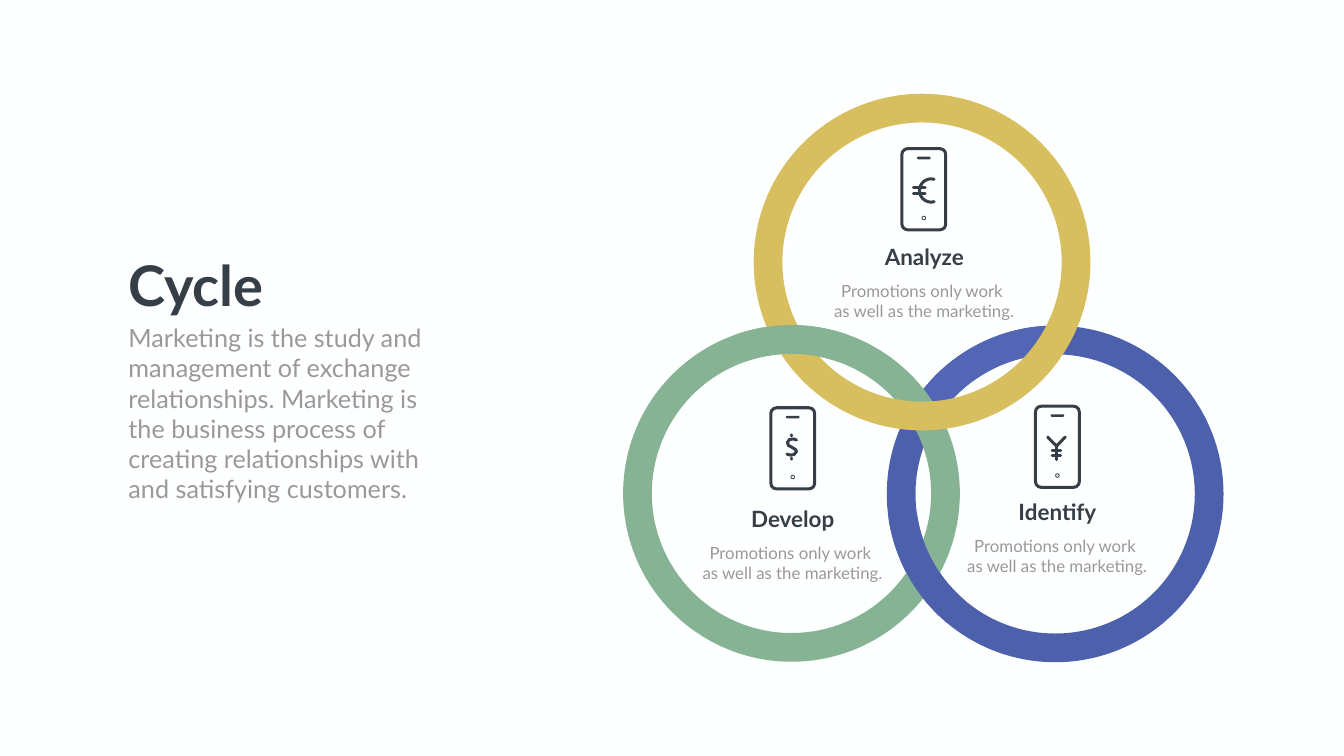
import math

import pptx
import pptx.dml.color
import pptx.enum.shapes
import pptx.enum.text
import pptx.oxml
import pptx.oxml.ns
import pptx.util

PX = 9144  # 100 px to the inch
FONT = "Lato"
INK, GREY, PAPER = "363E48", "999999", "FEFFFF"
YELLOW, GREEN, BLUE, LIGHT_BLUE = "D7BF60", "86B394", "4D60AB", "5266B5"

TITLE = "Cycle"
INTRO = ("Marketing is the study and management of exchange relationships. "
         "Marketing is the business process of creating relationships with "
         "and satisfying customers.")
NOTE = "Promotions only work \nas well as the marketing."

RING_RADIUS, RING_BAND = 334, 57
TOP, LEFT, RIGHT = (1829, 520), (1570, 979), (2093, 980)
# Back to front: centre, colour, and clockwise degrees (None for a whole ring).
# The last two arcs bring a lower ring over a higher one, linking the rings.
BANDS = [
    (RIGHT, BLUE, None),
    (RIGHT, LIGHT_BLUE, (215, 268)),
    (LEFT, GREEN, None),
    (TOP, YELLOW, None),
    (LEFT, GREEN, (250, 290)),
    (RIGHT, BLUE, (130, 172)),
]

# Currency signs as pen strokes, in px from the phone's corner
EURO_ARC = [(61 + 23 * math.cos(math.radians(angle)),
             86 + 23 * math.sin(math.radians(angle)))
            for angle in range(75, 286, 10)]
EURO = [EURO_ARC, [(26, 80), (49, 80)], [(26, 92), (49, 92)]]
DOLLAR = [
    [(54, 67), (48, 65), (40, 66), (36, 72), (38, 78), (44, 81),
     (52, 86), (54, 90), (49, 96), (42, 97), (35, 95)],
    [(45, 57), (45, 59)],
    [(45, 103), (45, 105)],
]
YEN = [
    [(27, 64), (45, 82), (62, 64)],
    [(45, 82), (45, 109)],
    [(36, 91), (53, 91)],
    [(36, 100), (53, 100)],
]

# Label, label corner, phone corner, currency sign
STEPS = [
    ("Analyze", (1703, 478), (1786, 292), EURO),
    ("Identify", (1967, 984), (2051, 803), YEN),
    ("Develop", (1442, 998), (1526, 806), DOLLAR),
]

SHAPE = pptx.enum.shapes.MSO_SHAPE
ALIGN = pptx.enum.text.PP_ALIGN


def color(value):
    return pptx.dml.color.RGBColor.from_string(value)


def emu(*lengths):
    return [round(length * PX) for length in lengths]


def add_filled(page, kind, frame, fill):
    shape = page.shapes.add_shape(kind, *emu(*frame))
    shape.shadow.inherit = False
    shape.fill.solid()
    shape.fill.fore_color.rgb = color(fill)
    shape.line.fill.background()
    return shape


def add_outlined(page, kind, frame, points):
    shape = add_filled(page, kind, frame, PAPER)
    shape.fill.background()
    shape.line.color.rgb = color(INK)
    shape.line.width = pptx.util.Pt(points)
    return shape


def add_band(page, center, fill, arc):
    size = 2 * RING_RADIUS
    frame = (center[0] - RING_RADIUS, center[1] - RING_RADIUS, size, size)
    band = add_filled(page, SHAPE.BLOCK_ARC if arc else SHAPE.DONUT, frame, fill)
    thickness = RING_BAND / size
    if arc:
        # Angles count in 1/60000 degree, adjustments in 1/100000
        values = [degrees * 0.6 for degrees in arc] + [thickness]
    else:
        values = [thickness]
    for index, value in enumerate(values):
        band.adjustments[index] = value


def add_stroke(page, points):
    """Draw one pen stroke with round ends through the points."""
    if len(points) == 2:
        stroke = page.shapes.add_connector(
            pptx.enum.shapes.MSO_CONNECTOR.STRAIGHT, *emu(*points[0], *points[1]))
    else:
        builder = page.shapes.build_freeform(*emu(*points[0]))
        builder.add_line_segments([emu(*point) for point in points[1:]], close=False)
        stroke = builder.convert_to_shape()
        stroke.fill.background()
    stroke.line.color.rgb = color(INK)
    stroke.line.width = pptx.util.Pt(4.3)
    properties = stroke._element.spPr
    properties.find(pptx.oxml.ns.qn("a:ln")).set("cap", "rnd")
    properties.append(pptx.oxml.parse_xml(
        "<a:effectLst %s/>" % pptx.oxml.ns.nsdecls("a")))


def add_phone(page, corner, sign):
    x, y = corner
    case = add_outlined(page, SHAPE.ROUNDED_RECTANGLE, (x + 3, y + 3, 87, 161), 4.3)
    case.adjustments[0] = 0.13
    speaker = add_filled(page, SHAPE.ROUNDED_RECTANGLE, (x + 33, y + 19, 27, 5), INK)
    speaker.adjustments[0] = 0.5
    add_outlined(page, SHAPE.OVAL, (x + 43, y + 137, 7, 7), 1.2)
    for points in sign:
        add_stroke(page, [(x + dx, y + dy) for dx, dy in points])


def set_text(box, text, size, fill, bold=False, align=ALIGN.LEFT, wrap=True):
    frame = box.text_frame
    frame.text = text
    frame.word_wrap = wrap
    frame.auto_size = pptx.enum.text.MSO_AUTO_SIZE.NONE
    frame.vertical_anchor = pptx.enum.text.MSO_ANCHOR.TOP
    for para in frame.paragraphs:
        para.alignment = align
        for span in para.runs:
            span.font.name = FONT
            span.font.size = pptx.util.Pt(size)
            span.font.bold = bold
            span.font.color.rgb = color(fill)


def add_text(page, frame, *args, **options):
    set_text(page.shapes.add_textbox(*emu(*frame)), *args, **options)


def main():
    deck = pptx.Presentation()
    deck.slide_width, deck.slide_height = emu(2666, 1500)
    page = deck.slides.add_slide(deck.slide_layouts[5])
    page.background.fill.solid()
    page.background.fill.fore_color.rgb = color(PAPER)

    title = page.shapes.title
    title.left, title.top, title.width, title.height = emu(244, 492, 297, 145)
    set_text(title, TITLE, 80, INK, bold=True, wrap=False)
    add_text(page, (245, 635, 654, 374), INTRO, 36, GREY)

    for band in BANDS:
        add_band(page, *band)
    for label, (x, y), phone, sign in STEPS:
        add_phone(page, phone, sign)
        add_text(page, (x, y, 261, 64), label, 32, INK, bold=True, align=ALIGN.CENTER)
        add_text(page, (x - 71, y + 74, 402, 91), NOTE, 24, GREY, align=ALIGN.CENTER)

    deck.save("out.pptx")


if __name__ == "__main__":
    main()
